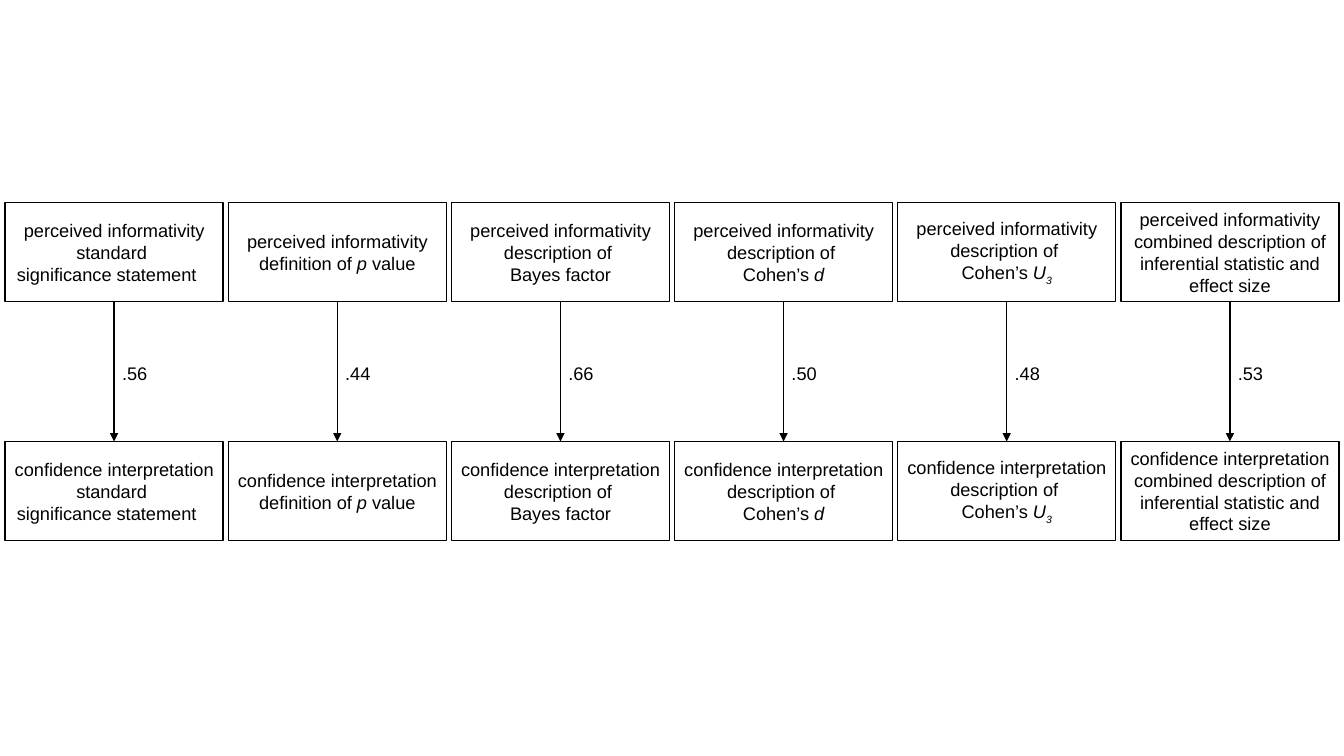
import dataclasses

import lxml.etree
import pptx
import pptx.dml.color
import pptx.enum.shapes
import pptx.enum.text
import pptx.oxml.ns
import pptx.util

inch = pptx.util.Inches
qn = pptx.oxml.ns.qn


@dataclasses.dataclass
class Theme:
    ink = pptx.dml.color.RGBColor(0, 0, 0)
    paper = pptx.dml.color.RGBColor(255, 255, 255)
    font = "Arial"
    size = pptx.util.Pt(13)
    line = pptx.util.Pt(1)


THEME = Theme()
WIDTH, HEIGHT = 13.33, 7.5
EDGE, GAP = 0.05, 0.05
TOP, BASE, TALL = 2.01, 4.38, 0.98

# Each column: path weight and the topic lines; a line is a list of (text, mark)
# with mark "i" for italic and "s" for italic subscript
DESC = [("description of ", "")]
PATHS = [
    (".56", [[("standard ", "")], [("significance statement", "")]]),
    (".44", [[("definition of ", ""), ("p", "i"), (" value", "")]]),
    (".66", [DESC, [("Bayes factor", "")]]),
    (".50", [DESC, [("Cohen’s ", ""), ("d", "i")]]),
    (".48", [DESC, [("Cohen’s ", ""), ("U", "i"), ("3", "s")]]),
    (".53", [[("combined description of inferential statistic and effect size", "")]]),
]


def style(para):
    para.font.name = THEME.font
    para.font.size = THEME.size
    para.font.color.rgb = THEME.ink


def draw_node(slide, box, lines):
    """Outlined box holding one centred paragraph per line."""
    node = slide.shapes.add_shape(
        pptx.enum.shapes.MSO_SHAPE.RECTANGLE, *map(inch, box))
    node.shadow.inherit = False
    node.fill.solid()
    node.fill.fore_color.rgb = THEME.paper
    node.line.color.rgb = THEME.ink
    node.line.width = THEME.line
    frame = node.text_frame
    frame.word_wrap = True
    frame.margin_left = frame.margin_right = inch(0.08)
    frame.vertical_anchor = pptx.enum.text.MSO_ANCHOR.MIDDLE
    for row, line in enumerate(lines):
        para = frame.add_paragraph() if row else frame.paragraphs[0]
        para.alignment = pptx.enum.text.PP_ALIGN.CENTER
        style(para)
        for text, mark in line:
            run = para.add_run()
            run.text = text
            if mark:
                run.font.italic = True
            if mark == "s":
                run.font._element.set("baseline", "-25000")
    return node


def draw_arrow(slide, x, top, end):
    arrow = slide.shapes.add_connector(
        pptx.enum.shapes.MSO_CONNECTOR.STRAIGHT, *map(inch, (x, top, x, end)))
    arrow.line.color.rgb = THEME.ink
    arrow.line.width = THEME.line
    lxml.etree.SubElement(arrow.line._get_or_add_ln(), qn("a:tailEnd"), type="triangle")
    lxml.etree.SubElement(arrow._element.spPr, qn("a:effectLst"))


def draw_weight(slide, x, y, text):
    label = slide.shapes.add_textbox(*map(inch, (x, y, 0.49, 0.32)))
    frame = label.text_frame
    frame.word_wrap = True
    frame.auto_size = pptx.enum.text.MSO_AUTO_SIZE.SHAPE_TO_FIT_TEXT
    frame.text = text
    style(frame.paragraphs[0])


def draw_column(slide, left, wide, weight, topic):
    """Two boxes, the arrow between them and its weight."""
    mid = left + wide / 2
    for y, head in ((TOP, "perceived informativity"),
                    (BASE, "confidence interpretation")):
        node = draw_node(slide, (left, y, wide, TALL), [[(head, "")]] + topic)
        last = node.text_frame.paragraphs[-1]
        if last.text == "significance statement":
            last._p.get_or_add_pPr().set("marR", str(inch(0.15)))
    draw_arrow(slide, mid, TOP + TALL, BASE)
    draw_weight(slide, mid - 0.02, (TOP + TALL + BASE) / 2 - 0.14, weight)


def main():
    deck = pptx.Presentation()
    deck.slide_width, deck.slide_height = inch(WIDTH), inch(HEIGHT)
    slide = deck.slides.add_slide(deck.slide_layouts[6])
    pitch = (WIDTH - 2 * EDGE + GAP) / len(PATHS)
    for col, (weight, topic) in enumerate(PATHS):
        draw_column(slide, EDGE + col * pitch, pitch - GAP, weight, topic)
    deck.save("out.pptx")


if __name__ == "__main__":
    main()
